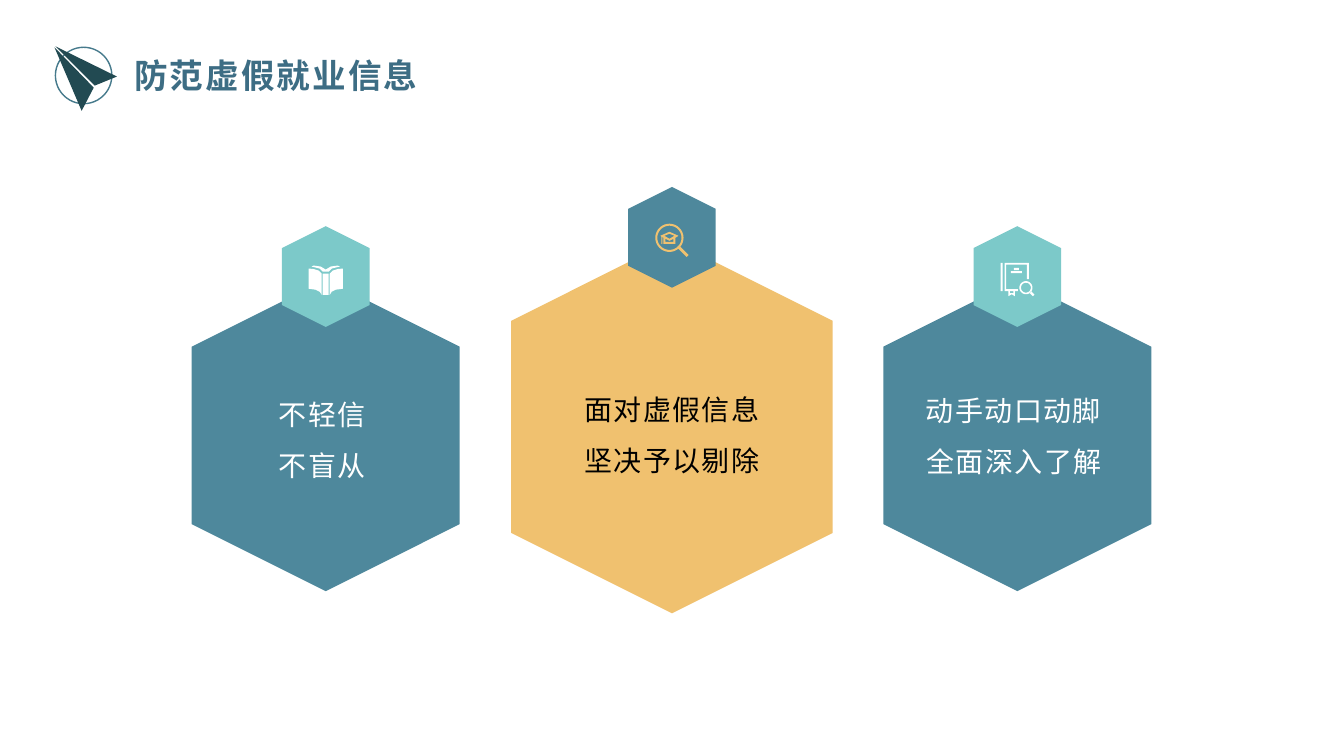
from math import cos, pi, sin

from lxml import etree
from pptx import Presentation
from pptx.dml.color import RGBColor
from pptx.enum.shapes import MSO_SHAPE
from pptx.enum.text import MSO_ANCHOR, PP_ALIGN
from pptx.oxml.ns import qn
from pptx.util import Pt

HEXAGON, OVAL = MSO_SHAPE.HEXAGON, MSO_SHAPE.OVAL
TOP, MIDDLE = MSO_ANCHOR.TOP, MSO_ANCHOR.MIDDLE
LEFT, CENTER = PP_ALIGN.LEFT, PP_ALIGN.CENTER

TITLE_BLUE = RGBColor(0x3D, 0x6D, 0x84)
RING_BLUE = RGBColor(0x46, 0x7A, 0x8C)
DARK_TEAL = RGBColor(0x22, 0x4A, 0x52)
BLUE = RGBColor(0x4E, 0x88, 0x9C)
MINT = RGBColor(0x7C, 0xC9, 0xC9)
GOLD = RGBColor(0xF0, 0xC1, 0x6F)
WHITE = RGBColor(0xFF, 0xFF, 0xFF)
BLACK = RGBColor(0, 0, 0)

FONT = "Noto Sans CJK SC"
ICON_UNIT = 0.72  # points per icon grid step
BADGE_W, BADGE_H, BADGE_LIFT = 62.6, 72, 2.2


def rect(x1, y1, x2, y2):
    return [(x1, y1), (x2, y1), (x2, y2), (x1, y2)]


def circle(cx, cy, r, steps=40):
    angles = [2 * pi * i / steps for i in range(steps)]
    return [(cx + r * cos(a), cy + r * sin(a)) for a in angles]


def mirror(contour):
    return [(-x, y) for x, y in contour]


# Icon outlines on a grid centred on the icon
PAGE = [(-17, -11), (-12, -10.5), (-7, -9), (-4, -6), (-4, 15), (-6, 12),
        (-10, 10), (-17, 9)]
BOOK = [
    rect(-3, -6, 3, 15), PAGE, mirror(PAGE),
    [(-12, -14), (-5, -13), (0, -10), (5, -13), (12, -14), (14, -13),
     (6, -11), (3, -8), (-3, -8), (-6, -11), (-14, -13)],
]
CAP_SEARCH = [
    circle(-2.5, -2.5, 14), circle(-2.5, -2.5, 12),
    [(8.5, 6.5), (16.5, 14.5), (14.5, 16.5), (6.5, 8.5)],
    [(-2.5, -8.5), (6.5, -4.5), (3.5, -2.5), (3.5, 3.5), (-8.5, 3.5),
     (-8.5, -2.5), (-9.5, -3.5), (-9.5, 3.5), (-10.5, 3.5), (-10.5, -3.5),
     (-11.5, -4.5)],
    [(-2.5, -6.5), (-7.5, -4.5), (-2.5, -1.5), (2.5, -4.5)],
    [(-6.5, -1.5), (-6.5, 1.5), (1.5, 1.5), (1.5, -1.5), (-2.5, 0.5)],
]
BOOK_SEARCH = [
    [(-12.5, -16.5), (11.5, -16.5), (11.5, -0.5), (9.5, -0.5), (9.5, -15),
     (-11, -15), (-11, 9.5), (0.5, 9.5), (0.5, 11.5), (-2.5, 11.5),
     (-2.5, 16.5), (-5.5, 14.5), (-9, 16.5), (-9, 11.5), (-12.5, 11.5)],
    rect(-7.5, 11.5, -4, 13.5),
    rect(-16.5, -16.5, -14.5, 11.5),
    rect(-6.5, -8.5, 4.5, -6.5), rect(-3.5, -11.5, 1.5, -9.5),
    circle(8.5, 8, 6.5), circle(8.5, 8, 4.9),
    [(13.5, 11.5), (17, 15), (15.5, 16.5), (12, 13)],
]
PLANE = [[(62, 30), (40, 39), (1, 0)], [(39, 41), (27, 64), (0, 1)]]


def paint(shape, fill):
    shape.shadow.inherit = False
    shape.fill.solid()
    shape.fill.fore_color.rgb = fill
    shape.line.fill.background()


def draw_outline(shapes, x, y, contours, fill):
    """Draw grid contours around the origin (x, y) as one shape."""
    def place(point):
        return Pt(x + point[0] * ICON_UNIT), Pt(y + point[1] * ICON_UNIT)

    builder = None
    for contour in contours:
        first, *rest = map(place, contour)
        if builder is None:
            builder = shapes.build_freeform(*first)
        else:
            builder.move_to(*first)
        builder.add_line_segments(rest, close=True)
    paint(builder.convert_to_shape(), fill)


def draw_hexagon(shapes, cx, cy, w, h, fill):
    """Draw a hexagon standing on its point, w by h as seen."""
    sp = shapes.add_shape(HEXAGON, Pt(cx - h / 2), Pt(cy - w / 2), Pt(h), Pt(w))
    sp.rotation = 270
    paint(sp, fill)


def write(tf, lines, size, color, align, anchor, spacing, bold=False, line_spacing=1):
    tf.word_wrap = True
    tf.vertical_anchor = anchor
    for i, line in enumerate(lines):
        p = tf.paragraphs[0] if i == 0 else tf.add_paragraph()
        p.text = line
        p.alignment = align
        p.line_spacing = line_spacing
        font = p.font
        font.size, font.bold, font.name = Pt(size), bold, FONT
        font.color.rgb = color
        props = p._p.pPr.find(qn("a:defRPr"))
        props.set("spc", str(int(spacing * 100)))
        etree.SubElement(props, qn("a:ea"), typeface=FONT)


def add_header(s, x, y, title):
    shapes = s.shapes.add_group_shape().shapes
    ring = shapes.add_shape(OVAL, Pt(x + 0.7), Pt(y + 0.7), Pt(40.3), Pt(40.3))
    ring.shadow.inherit = False
    ring.fill.background()
    ring.line.color.rgb = RING_BLUE
    ring.line.width = Pt(1)
    draw_outline(shapes, x, y, PLANE, DARK_TEAL)

    sp = s.shapes.title
    sp.left, sp.top, sp.width, sp.height = Pt(x + 49.7), Pt(y + 2.2), Pt(480), Pt(36)
    write(sp.text_frame, [title], 24, TITLE_BLUE, LEFT, MIDDLE, 1.5, bold=True)


def add_card(s, cx, cy, w, h, fill, badge_fill, icon, icon_fill, lines, color, text_box):
    """Draw a hexagon card; text_box is left, top and width from its centre."""
    shapes = s.shapes.add_group_shape().shapes
    top = cy - h / 2
    draw_hexagon(shapes, cx, cy, w, h, fill)
    draw_hexagon(shapes, cx, top - BADGE_LIFT, BADGE_W, BADGE_H, badge_fill)
    draw_outline(shapes, cx, top, icon, icon_fill)
    dx, dy, width = text_box
    box = shapes.add_textbox(Pt(cx + dx), Pt(cy + dy), Pt(width), Pt(80))
    write(box.text_frame, lines, 20, color, CENTER, TOP, 1, line_spacing=1.5)


def main():
    prs = Presentation()
    prs.slide_width, prs.slide_height = Pt(960), Pt(540)
    s = prs.slides.add_slide(prs.slide_layouts[5])
    add_header(s, 38.9, 33.1, "防范虚假就业信息")
    side = (191.5, 222.5, BLUE, MINT)
    add_card(s, 232.7, 311, *side, BOOK, WHITE,
             ["不轻信", "不盲从"], WHITE, (-72.9, -42.4, 141.1))
    add_card(s, 480, 304.9, 229.7, 266.4, GOLD, BLUE, CAP_SEARCH, GOLD,
             ["面对虚假信息", "坚决予以剔除"], BLACK, (-106.3, -39.9, 212.4))
    add_card(s, 726.7, 311, *side, BOOK_SEARCH, WHITE,
             ["动手动口动脚全面深入了解"], WHITE, (-72.9, -45.3, 141.1))
    prs.save("out.pptx")


if __name__ == "__main__":
    main()
